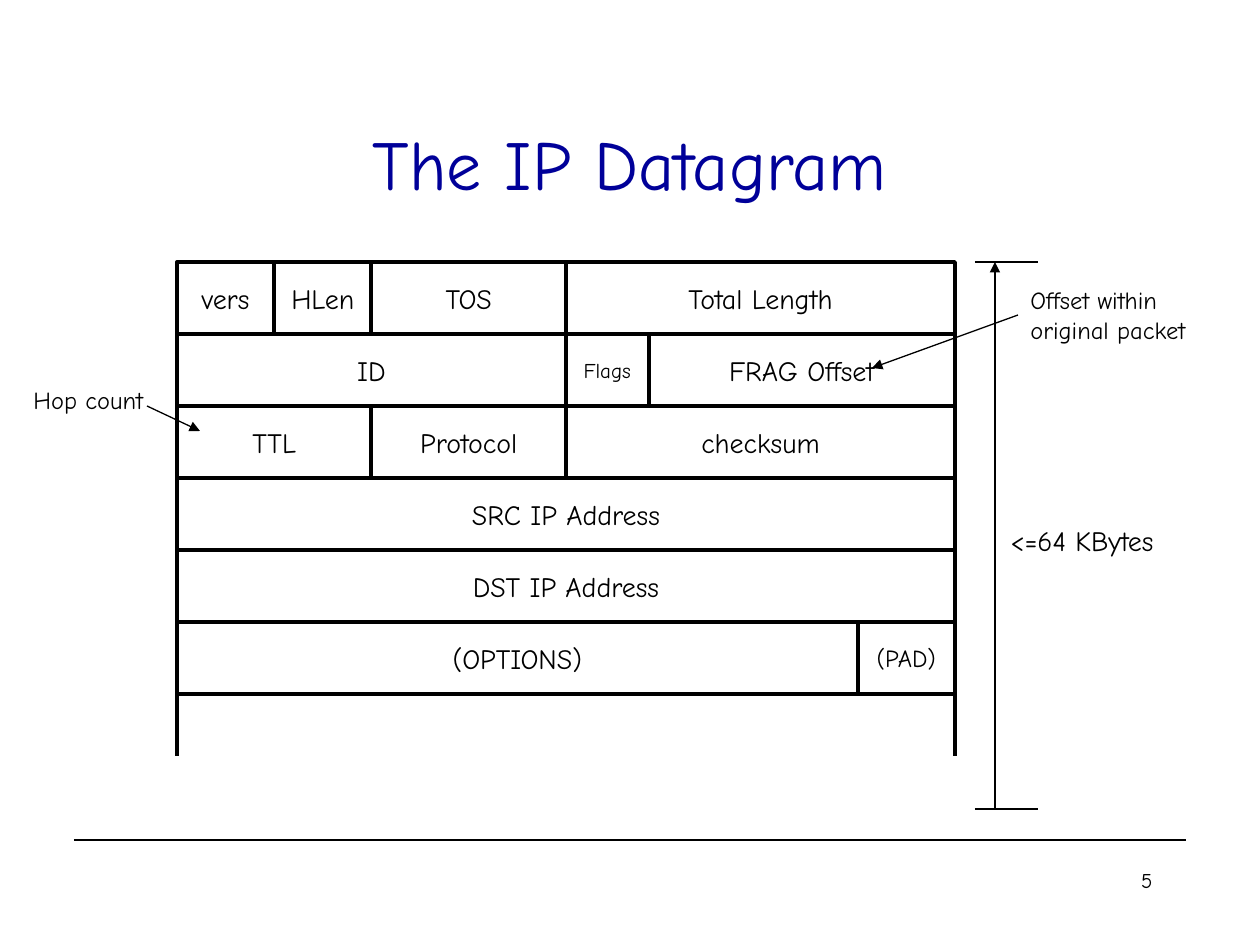
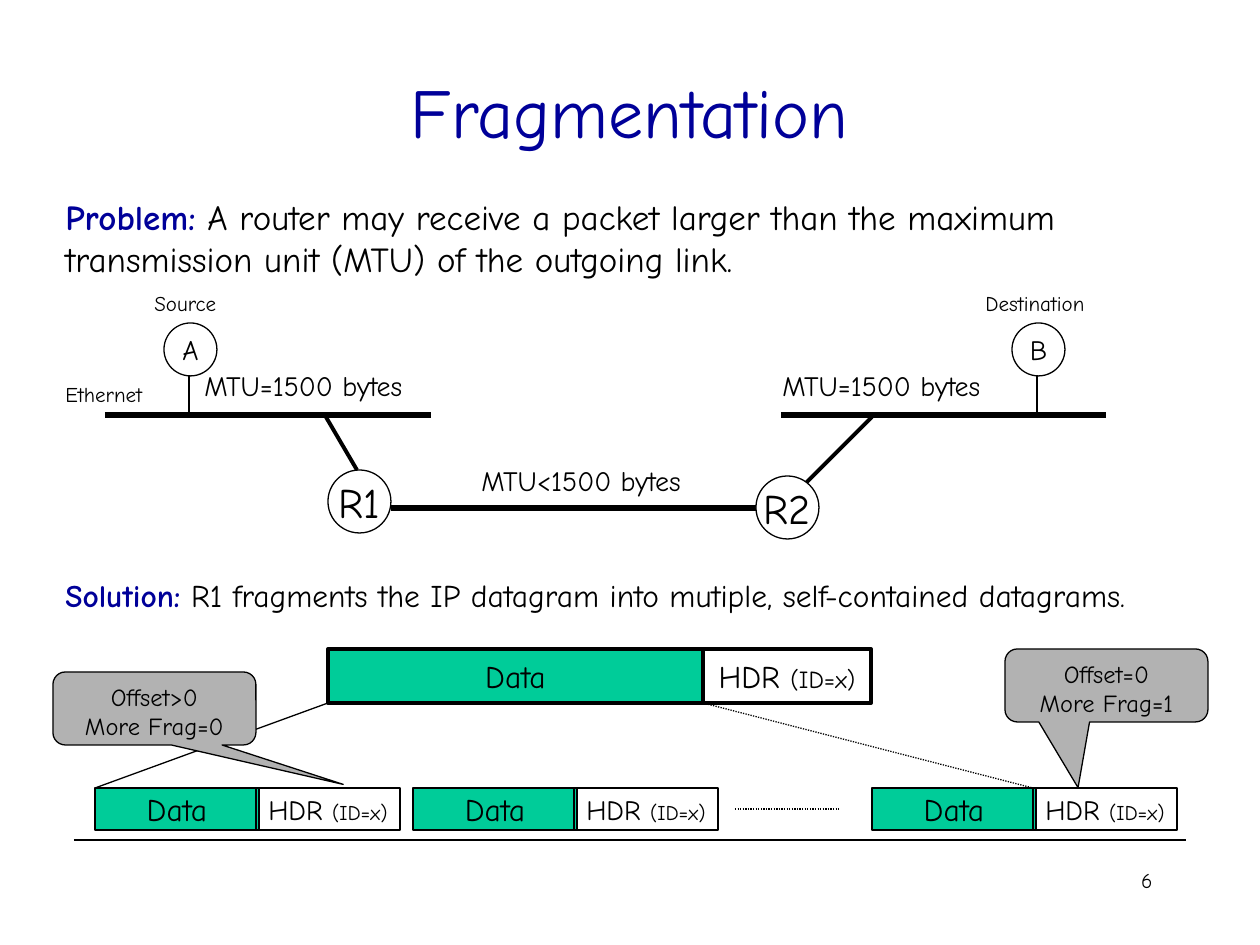
"""Build two slides on the IP datagram header and on packet fragmentation."""
import pptx
import pptx.dml.color
import pptx.enum.dml
import pptx.enum.shapes
import pptx.enum.text
import pptx.oxml
import pptx.oxml.ns
import pptx.util

SHAPE = pptx.enum.shapes.MSO_SHAPE
ANCHOR = pptx.enum.text.MSO_ANCHOR
ALIGN = pptx.enum.text.PP_ALIGN
DOTTED = pptx.enum.dml.MSO_LINE.ROUND_DOT

PX = 914400 / 126
FONT = "Comic Neue"
COLORS = {"ink": "000000", "title": "000099", "paper": "FFFFFF", "data": "00CC99", "callout": "B2B2B2"}
THIN, MEDIUM, THICK = 0.75, 2.25, 3

FOOTER_RULE = (74, 840, 1186, 840, THIN)
PAGE_NUMBER_BOX = (903, 861, 262, 63)
TITLE_LEFT, TITLE_WIDTH, TITLE_HEIGHT = 94, 1071, 158

HEADER_LEFT, HEADER_TOP, HEADER_WIDTH, ROW_HEIGHT, HEADER_BITS = 177, 262, 778, 72, 32
HEADER_ROWS = [
    [("vers", 4, 16), ("HLen", 4, 16), ("TOS", 8, 16), ("Total Length", 16, 16)],
    [("ID", 16, 16), ("Flags", 3.4, 12), ("FRAG Offset", 12.6, 16)],
    [("TTL", 8, 16), ("Protocol", 8, 16), ("checksum", 16, 16)],
    [("SRC IP Address", 32, 16)],
    [("DST IP Address", 32, 16)],
    [("(OPTIONS)", 28, 16), ("(PAD)", 4, 14)],
]
PAYLOAD_SIDES = [(x, 672, x, 756, MEDIUM) for x in (HEADER_LEFT, HEADER_LEFT + HEADER_WIDTH)]
SIZE_TICKS = [(975, y, 1038, y, THIN) for y in (262, 809)]
DATAGRAM_ARROWS = [
    (995, 809, 995, 262, THIN),
    (1018, 315, 872, 368, THIN),
    (147, 406, 200, 431, THIN),
]
DATAGRAM_NOTES = [
    ("<=64 KBytes", (998, 504, 190, 72), 16),
    ("Offset within original packet", (1018, 262, 220, 105), 14),
    ("Hop count", (21, 368, 180, 63), 14),
]

STATEMENTS = [
    ("Problem:", " A router may receive a packet larger than the maximum "
     "transmission unit (MTU) of the outgoing link.", (53, 189, 1129, 97), 20),
    ("Solution:", " R1 fragments the IP datagram into mutiple, "
     "self-contained datagrams.", (53, 570, 1190, 50), 18),
]
NETWORK_LINKS = [
    (105, 415, 431, 415, THICK),
    (189, 375, 189, 415, THIN),
    (326, 417, 357, 470, MEDIUM),
    (391, 508, 756, 508, THICK),
    (872, 417, 781, 508, MEDIUM),
    (781, 415, 1106, 415, THICK),
    (1037, 373, 1037, 415, THIN),
]
NETWORK_LABELS = [
    ("Ethernet", (53, 373, 136, 42), 12),
    ("MTU=1500 bytes", (192, 354, 266, 63), 16),
    ("MTU=1500 bytes", (770, 354, 266, 63), 16),
    ("MTU<1500 bytes", (469, 449, 266, 63), 16),
    ("Source", (142, 284, 134, 38), 12),
    ("Destination", (973, 284, 203, 38), 12),
]
NODES = [
    ("A", 164, 323, 53, 16),
    ("B", 1012, 323, 53, 16),
    ("R1", 328, 470, 63, 24),
    ("R2", 756, 476, 63, 24),
]
WHOLE_PACKET = {"top": 649, "height": 54, "data_width": 375, "header_offset": 375,
                "header_width": 168, "sizes": (18, 14), "line_width": MEDIUM}
FRAGMENT = {"top": 788, "height": 42, "data_width": 164, "header_offset": 161,
            "header_width": 144, "sizes": (16, 12), "line_width": THIN}
PACKETS = [(328, WHOLE_PACKET), (95, FRAGMENT), (413, FRAGMENT), (872, FRAGMENT)]
SPLIT_LINES = [
    ((328, 703, 95, 788, THIN), None),
    ((703, 703, 1033, 788, THIN), DOTTED),
    ((735, 809, 840, 809, THIN), DOTTED),
]
CALLOUTS = [
    (("Offset>0", "More Frag=0"), (53, 672, 203, 73), (0.93, 1.04, 0.17)),
    (("Offset=0", "More Frag=1"), (1005, 649, 203, 73), (-0.14, 1.4, 0.17)),
]


def emu(*lengths):
    return [pptx.util.Emu(round(length * PX)) for length in lengths]


def rgb(name):
    return pptx.dml.color.RGBColor.from_string(COLORS[name])


def set_format(target, values):
    for name, value in values.items():
        setattr(target, name, value)


def write(shape, paragraphs, align=ALIGN.LEFT, anchor=ANCHOR.MIDDLE, wrap=True):
    """Fill a shape with paragraphs, each a list of (text, size, color, bold) runs."""
    frame = shape.text_frame
    set_format(frame, {"word_wrap": wrap, "vertical_anchor": anchor,
                       "auto_size": pptx.enum.text.MSO_AUTO_SIZE.NONE})
    for index, runs in enumerate(paragraphs):
        paragraph = frame.add_paragraph() if index else frame.paragraphs[0]
        paragraph.alignment = align
        for text, size, color, bold in runs:
            run = paragraph.add_run()
            run.text = text
            set_format(run.font, {"name": FONT, "size": pptx.util.Pt(size), "bold": bold})
            run.font.color.rgb = rgb(color)


def plain(text, size):
    return (text, size, "ink", False)


def add_label(slide, box, runs, **layout):
    write(slide.shapes.add_textbox(*emu(*box)), [runs], **layout)


def add_box(slide, kind, box, paragraphs, fill=None, line_width=THIN, anchor=ANCHOR.MIDDLE, wrap=False):
    shape = slide.shapes.add_shape(kind, *emu(*box))
    shape.shadow.inherit = False
    if fill:
        shape.fill.solid()
        shape.fill.fore_color.rgb = rgb(fill)
    else:
        shape.fill.background()
    shape.line.color.rgb = rgb("ink")
    shape.line.width = pptx.util.Pt(line_width)
    write(shape, paragraphs, ALIGN.CENTER, anchor, wrap)
    return shape


def add_line(slide, geometry, dash=None, arrow=False):
    *ends, width = geometry
    connector = slide.shapes.add_connector(pptx.enum.shapes.MSO_CONNECTOR.STRAIGHT, *emu(*ends))
    set_format(connector.line, {"width": pptx.util.Pt(width), "dash_style": dash})
    connector.line.color.rgb = rgb("ink")
    if arrow:
        head = pptx.oxml.parse_xml(f'<a:tailEnd {pptx.oxml.ns.nsdecls("a")} type="triangle"/>')
        connector.line._get_or_add_ln().append(head)
    effects = pptx.oxml.parse_xml(f'<a:effectLst {pptx.oxml.ns.nsdecls("a")}/>')
    connector._element.spPr.append(effects)


def add_slide(presentation, title, title_top, number):
    slide = presentation.slides.add_slide(presentation.slide_layouts[5])
    add_line(slide, FOOTER_RULE)
    add_label(slide, PAGE_NUMBER_BOX, [plain(number, 12)], align=ALIGN.RIGHT, anchor=ANCHOR.TOP)
    placeholder = slide.shapes.title
    box = emu(TITLE_LEFT, title_top, TITLE_WIDTH, TITLE_HEIGHT)
    set_format(placeholder, dict(zip(("left", "top", "width", "height"), box)))
    write(placeholder, [[(title, 40, "title", False)]], ALIGN.CENTER)
    return slide


def build_datagram(presentation):
    slide = add_slide(presentation, "The IP Datagram", 84, "5")
    for row, fields in enumerate(HEADER_ROWS):
        left, top = HEADER_LEFT, HEADER_TOP + row * ROW_HEIGHT
        for name, bits, size in fields:
            width = HEADER_WIDTH * bits / HEADER_BITS
            add_box(slide, SHAPE.RECTANGLE, (left, top, width, ROW_HEIGHT),
                    [[plain(name, size)]], line_width=MEDIUM)
            left += width
    for geometry in PAYLOAD_SIDES + SIZE_TICKS:
        add_line(slide, geometry)
    for geometry in DATAGRAM_ARROWS:
        add_line(slide, geometry, arrow=True)
    for text, box, size in DATAGRAM_NOTES:
        add_label(slide, box, [plain(text, size)])


def add_packet(slide, left, style):
    top, height, line_width = style["top"], style["height"], style["line_width"]
    name_size, id_size = style["sizes"]
    add_box(slide, SHAPE.RECTANGLE, (left, top, style["data_width"], height),
            [[plain("Data", 18)]], "data", line_width)
    add_box(slide, SHAPE.RECTANGLE, (left + style["header_offset"], top, style["header_width"], height),
            [[plain("HDR ", name_size), plain("(ID=x)", id_size)]], line_width=line_width)


def build_fragmentation(presentation):
    slide = add_slide(presentation, "Fragmentation", 31, "6")
    for lead, text, box, size in STATEMENTS:
        add_label(slide, box, [(lead, size, "title", True), plain(text, size)], anchor=ANCHOR.TOP)
    for geometry in NETWORK_LINKS:
        add_line(slide, geometry)
    for text, box, size in NETWORK_LABELS:
        add_label(slide, box, [plain(text, size)])
    for name, left, top, diameter, size in NODES:
        add_box(slide, SHAPE.OVAL, (left, top, diameter, diameter), [[plain(name, size)]], "paper")
    for left, style in PACKETS:
        add_packet(slide, left, style)
    for geometry, dash in SPLIT_LINES:
        add_line(slide, geometry, dash)
    for lines, box, adjustments in CALLOUTS:
        callout = add_box(slide, SHAPE.ROUNDED_RECTANGULAR_CALLOUT, box,
                          [[plain(text, 14)] for text in lines], "callout",
                          anchor=ANCHOR.TOP, wrap=True)
        for index, value in enumerate(adjustments):
            callout.adjustments[index] = value


def main():
    presentation = pptx.Presentation()
    presentation.slide_width, presentation.slide_height = emu(1260, 945)
    build_datagram(presentation)
    build_fragmentation(presentation)
    presentation.save("out.pptx")


if __name__ == "__main__":
    main()
